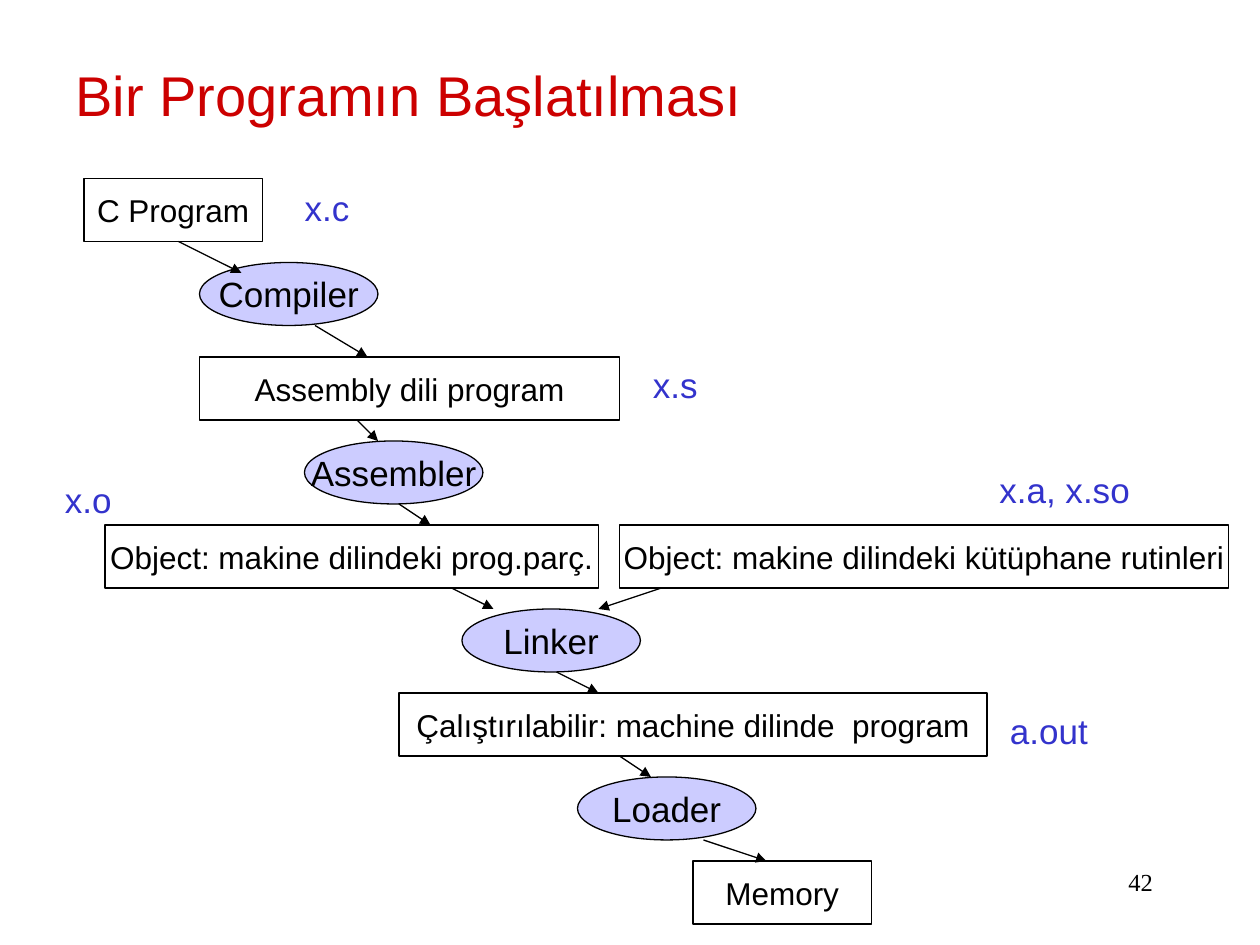
from lxml import etree
from pptx import Presentation
from pptx.dml.color import RGBColor
from pptx.enum.shapes import MSO_CONNECTOR, MSO_SHAPE
from pptx.enum.text import MSO_ANCHOR, MSO_AUTO_SIZE, PP_ALIGN
from pptx.oxml.ns import qn
from pptx.util import Pt

COLORS = {"title": "CC0000", "file": "3333CC", "ink": "000000",
          "product": "FFFFFF", "tool": "CCCCFF"}
NODE_H = 36
TOOL_W = 102

# Offsets within the diagram: text, left, top, width
PRODUCTS = [
    ("C Program", 18, 0, 102),
    ("Assembly dili program", 84, 102, 240),
    ("Object: makine dilindeki prog.parç.", 30, 198, 282),
    ("Object: makine dilindeki kütüphane rutinleri", 324, 198, 348),
    ("Çalıştırılabilir: machine dilinde  program", 198, 294, 336),
    ("Memory", 366, 390, 102),
]
TOOLS = [
    ("Compiler", 84, 48),
    ("Assembler", 144, 150),
    ("Linker", 234, 246),
    ("Loader", 300, 342),
]
ARROWS = [
    (72, 36, 108, 54), (150, 84, 180, 102), (174, 138, 186, 150),
    (198, 186, 216, 198), (228, 234, 252, 246), (348, 234, 312, 246),
    (288, 282, 312, 294), (324, 330, 342, 342), (372, 378, 408, 390),
]
FILES = [
    ("x.c", 137, 1, 40),
    ("x.s", 336, 102, 40),
    ("x.o", 0, 168, 41),
    ("x.a, x.so", 534, 162, 89),
    ("a.out", 540, 300, 59),
]


def rgb(name):
    return RGBColor.from_string(COLORS[name])


def set_text(sp, text, size, color="ink", font="Arial", align=PP_ALIGN.LEFT):
    tf = sp.text_frame
    tf.word_wrap = False
    p = tf.paragraphs[0]
    p.text = text
    p.alignment = align
    p.font.size = Pt(size)
    p.font.name = font
    p.font.color.rgb = rgb(color)


def add_label(s, x, y, w, h, text, size, **style):
    sp = s.shapes.add_textbox(Pt(x), Pt(y), Pt(w), Pt(h))
    set_text(sp, text, size, **style)
    sp.text_frame.auto_size = MSO_AUTO_SIZE.SHAPE_TO_FIT_TEXT
    return sp


def add_node(s, kind, x, y, w, text, size, fill):
    sp = s.shapes.add_shape(kind, Pt(x), Pt(y), Pt(w), Pt(NODE_H))
    sp.shadow.inherit = False
    sp.fill.solid()
    sp.fill.fore_color.rgb = rgb(fill)
    sp.line.color.rgb = rgb("ink")
    sp.line.width = Pt(0.75)
    sp.text_frame.vertical_anchor = MSO_ANCHOR.MIDDLE
    set_text(sp, text, size, align=PP_ALIGN.CENTER)


def add_arrow(s, x1, y1, x2, y2):
    c = s.shapes.add_connector(MSO_CONNECTOR.STRAIGHT,
                               Pt(x1), Pt(y1), Pt(x2), Pt(y2))
    c.line.color.rgb = rgb("ink")
    c.line.width = Pt(0.75)
    spPr = c.element.spPr
    etree.SubElement(spPr.find(qn("a:ln")), qn("a:tailEnd"), type="triangle")
    etree.SubElement(spPr, qn("a:effectLst"))


def add_title(s, x, y, w, h):
    add_label(s, x, y, w, h, "Bir Programın Başlatılması", 32, color="title")


def add_page_number(s, x, y, w, h):
    sp = add_label(s, x, y, w, h, "42", 14, font="Times New Roman",
                   align=PP_ALIGN.RIGHT)
    sp.text_frame.word_wrap = True
    sp.text_frame.auto_size = MSO_AUTO_SIZE.NONE


def add_build_flow(s, left, top):
    # Program forms, from source to memory
    for text, x, y, w in PRODUCTS:
        add_node(s, MSO_SHAPE.RECTANGLE, left + x, top + y, w, text, 18, "product")
    # Tools that turn one form into the next
    for text, x, y in TOOLS:
        add_node(s, MSO_SHAPE.OVAL, left + x, top + y, TOOL_W, text, 20, "tool")
    for x1, y1, x2, y2 in ARROWS:
        add_arrow(s, left + x1, top + y1, left + x2, top + y2)
    # File names
    for text, x, y, w in FILES:
        add_label(s, left + x, top + y, w, 32, text, 20, color="file")


def main():
    prs = Presentation()
    prs.slide_width, prs.slide_height = Pt(720), Pt(540)
    s = prs.slides.add_slide(prs.slide_layouts[6])
    add_page_number(s, 516, 492, 150, 36)
    add_title(s, 36, 31, 396, 46)
    add_build_flow(s, 30, 102)
    prs.save("out.pptx")


if __name__ == "__main__":
    main()
